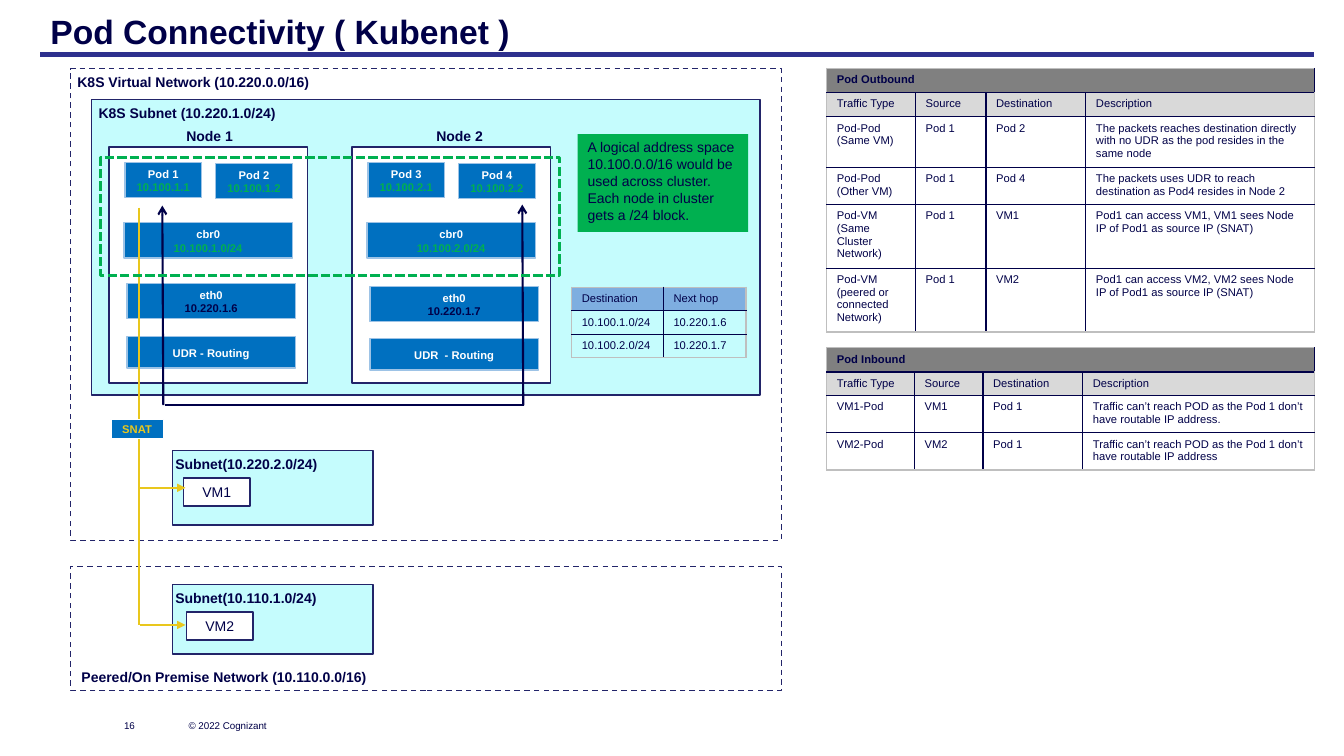
from dataclasses import dataclass

from pptx import Presentation
from pptx.dml.color import RGBColor
from pptx.enum.dml import MSO_LINE
from pptx.enum.shapes import MSO_CONNECTOR, MSO_SHAPE
from pptx.enum.text import MSO_ANCHOR, PP_ALIGN
from pptx.oxml.ns import qn
from pptx.util import Inches, Pt
from lxml.etree import SubElement


@dataclass(frozen=True)
class Theme:
    font: str = "Arial"
    ink: str = "000048"
    edge: str = "222469"
    rule: str = "2E308E"
    cyan: str = "C5FCFD"
    blue: str = "0070C0"
    rim: str = "9DC3E6"
    white: str = "FFFFFF"
    green: str = "00B050"
    gold: str = "E9C71D"
    sky: str = "7EAEE0"
    band: str = "808080"
    pale: str = "D9D9D9"
    frame: str = "BFBFBF"
    title: int = 24
    label: int = 10
    small: int = 8
    foot: int = 7


T = Theme()


def color(code):
    return RGBColor.from_string(code)


def write(frame, lines, size, bold=False, align=PP_ALIGN.LEFT):
    for i, (text, tint) in enumerate(lines):
        para = frame.paragraphs[0] if i == 0 else frame.add_paragraph()
        para.alignment = align
        run = para.add_run()
        run.text = text
        run.font.name = T.font
        run.font.size = Pt(size)
        run.font.bold = bold
        run.font.color.rgb = color(tint)


def label(slide, at, text, size=T.label, bold=True, inset=True,
          wrap=True, anchor=MSO_ANCHOR.TOP):
    frame = slide.shapes.add_textbox(*map(Inches, at)).text_frame
    frame.word_wrap = wrap
    frame.vertical_anchor = anchor
    if not inset:
        frame.margin_left = frame.margin_right = 0
        frame.margin_top = frame.margin_bottom = 0
    write(frame, [(text, T.ink)], size, bold)


def box(slide, at, fill=None, line=T.edge, width=1, dash=None):
    shape = slide.shapes.add_shape(MSO_SHAPE.RECTANGLE, *map(Inches, at))
    shape.shadow.inherit = False
    if fill:
        shape.fill.solid()
        shape.fill.fore_color.rgb = color(fill)
    else:
        shape.fill.background()
    if line:
        shape.line.color.rgb = color(line)
        shape.line.width = Pt(width)
        if dash:
            shape.line.dash_style = dash
    else:
        shape.line.fill.background()
    return shape


def fill_text(shape, lines, size, bold=False, align=PP_ALIGN.CENTER,
              anchor=MSO_ANCHOR.TOP, pad=0.05):
    frame = shape.text_frame
    frame.word_wrap = True
    frame.vertical_anchor = anchor
    frame.margin_top = frame.margin_bottom = Inches(pad)
    write(frame, lines, size, bold, align)


def chip(slide, at, name, addr=None, tint=T.green):
    lines = [(name, T.white)] + ([(addr, tint)] if addr else [])
    fill_text(box(slide, at, T.blue, T.rim), lines, T.small, True,
              pad=0.05 if addr else 0.1)


def line(slide, start, end, tint, width=1.5, head=None, tail=None):
    link = slide.shapes.add_connector(
        MSO_CONNECTOR.STRAIGHT, *map(Inches, start + end))
    link.line.color.rgb = color(tint)
    link.line.width = Pt(width)
    props = link.line._get_or_add_ln()
    for tag, kind in (("a:headEnd", head), ("a:tailEnd", tail)):
        if kind:
            SubElement(props, qn(tag), type=kind)
    SubElement(link._element.spPr, qn("a:effectLst"))


def border(cell, tints):
    props = cell._tc.get_or_add_tcPr()
    for i, (side, tint) in enumerate(zip("LRTB", tints)):
        edge = SubElement(props, qn("a:ln" + side), w=str(Pt(1)))
        fill = SubElement(edge, qn("a:solidFill"))
        SubElement(fill, qn("a:srgbClr"), val=tint)
        props.insert(i, edge)


def grid(slide, left, top, cols, rows, cells, fills):
    table = slide.shapes.add_table(
        len(rows), len(cols), Inches(left), Inches(top),
        Inches(sum(cols)), Inches(sum(rows))).table
    table.first_row = table.horz_banding = False
    for col, width in zip(table.columns, cols):
        col.width = Inches(width)
    for row, height in zip(table.rows, rows):
        row.height = Inches(height)
    for r, texts in enumerate(cells):
        banner = len(texts) == 1
        for c in range(len(cols)):
            cell = table.cell(r, c)
            if r < len(fills):
                cell.fill.solid()
                cell.fill.fore_color.rgb = color(fills[r])
            else:
                cell.fill.background()
            outer = (c == 0, c == len(cols) - 1, r == 0, r == len(rows) - 1)
            border(cell, [T.frame if out else T.ink for out in outer])
            if c < len(texts):
                lines = [(t, T.ink) for t in texts[c].split("\n")]
                write(cell.text_frame, lines, T.small, banner)
        if banner:
            table.cell(r, 0).merge(table.cell(r, len(cols) - 1))


def node(slide, left, name, shift, pods, block, addr, drop, route):
    box(slide, (left, 1.46, 1.97, 2.34), T.white)
    label(slide, (left + shift, 1.22, 1.7, 0.27), name)
    for i, (pod, host) in enumerate(pods):
        chip(slide, (left + 0.16 + 0.9 * i, 1.61 + 0.01 * i, 0.76, 0.35),
             pod, host)
    chip(slide, (left + 0.15, 2.21, 1.67, 0.35), "cbr0", block)
    chip(slide, (left + 0.18, 2.81 + drop, 1.67, 0.35), "eth0", addr, T.ink)
    chip(slide, (left + 0.18, 3.34 + drop * 0.67, 1.67, 0.31), route)


def subnet(slide, top, height, name, vm, left, inset):
    box(slide, (1.71, top, 1.99, height), T.cyan)
    label(slide, (1.64, top, 1.7, 0.27), name)
    host = box(slide, (left, top + inset, 0.66, 0.28), T.white)
    fill_text(host, [(vm, T.ink)], T.label, anchor=MSO_ANCHOR.MIDDLE)


def network(slide):
    box(slide, (0.91, 0.99, 6.63, 2.93), T.cyan)
    for top, height in ((0.68, 4.68), (5.62, 1.23)):
        box(slide, (0.7, top, 7.05, height), dash=MSO_LINE.DASH)
    label(slide, (0.67, 0.68, 3.03, 0.27), "K8S Virtual Network (10.220.0.0/16)")
    label(slide, (0.88, 0.99, 2.17, 0.27), "K8S Subnet (10.220.1.0/24)")
    label(slide, (0.71, 6.58, 3.42, 0.27),
          "Peered/On Premise Network (10.110.0.0/16)")
    node(slide, 1.08, "Node 1", 0.67,
         [("Pod 1", "10.100.1.1"), ("Pod 2", "10.100.1.2")],
         "10.100.1.0/24", "10.220.1.6", 0, "UDR - Routing")
    node(slide, 3.49, "Node 2", 0.74,
         [("Pod 3", "10.100.2.1"), ("Pod 4", "10.100.2.2")],
         "10.100.2.0/24", "10.220.1.7", 0.03, "UDR  - Routing")
    subnet(slide, 4.47, 0.74, "Subnet(10.220.2.0/24)", "VM1", 1.82, 0.27)
    subnet(slide, 5.8, 0.69, "Subnet(10.110.1.0/24)", "VM2", 1.85, 0.27)


def traffic(slide):
    line(slide, (1.61, 2.04), (1.62, 4.02), T.ink, head="arrow")
    line(slide, (5.2, 4.02), (1.64, 4.02), T.ink)
    line(slide, (5.18, 2.03), (5.19, 4.02), T.ink, head="arrow")
    line(slide, (1.38, 2.06), (1.38, 6.2), T.gold)
    for y in (4.84, 6.2):
        line(slide, (1.39, y), (1.84, y), T.gold, tail="triangle")
    box(slide, (1, 1.56, 4.55, 1.17), None, T.green, 2.25,
        MSO_LINE.SQUARE_DOT)
    fill_text(box(slide, (5.73, 1.33, 1.69, 0.97), T.green, None), [(
        "A logical address space 10.100.0.0/16 would be used across cluster. "
        "Each node in cluster gets a /24 block.", T.ink)],
        T.label, align=PP_ALIGN.LEFT)
    fill_text(box(slide, (1.1, 4.16, 0.52, 0.19), T.blue, T.white),
              [("SNAT", T.gold)], T.small, True,
              anchor=MSO_ANCHOR.MIDDLE, pad=0.1)


def tables(slide):
    grid(slide, 5.67, 2.85, (0.91, 0.82), (0.23,) * 3, [
        ("Destination", "Next hop"),
        ("10.100.1.0/24", "10.220.1.6"),
        ("10.100.2.0/24", "10.220.1.7")], [T.sky])
    heads = ("Traffic Type", "Source", "Destination", "Description")
    fills = [T.band, T.pale]
    grid(slide, 8.2, 0.68, (0.88, 0.7, 0.99, 2.27),
         (0.24, 0.24, 0.5, 0.37, 0.63, 0.63), [
        ("Pod Outbound",), heads,
        ("Pod-Pod\n(Same VM)", "Pod 1", "Pod 2",
         "The packets reaches destination directly with no UDR as the pod "
         "resides in the same node"),
        ("Pod-Pod (Other VM)", "Pod 1", "Pod 4",
         "The packets uses UDR to reach destination as Pod4 resides in Node 2"),
        ("Pod-VM (Same Cluster Network)", "Pod 1", "VM1",
         "Pod1 can access VM1, VM1 sees Node IP of Pod1 as source IP (SNAT)"),
        ("Pod-VM (peered or connected Network)", "Pod 1", "VM2",
         "Pod1 can access VM2, VM2 sees Node IP of Pod1 as source IP (SNAT)"),
    ], fills)
    block = "Traffic can’t reach POD as the Pod 1 don’t have routable IP address"
    grid(slide, 8.2, 3.45, (0.87, 0.68, 0.99, 2.3), (0.24, 0.23, 0.37, 0.37), [
        ("Pod Inbound",), heads,
        ("VM1-Pod", "VM1", "Pod 1", block + "."),
        ("VM2-Pod", "VM2", "Pod 1", block)], fills)


def main():
    deck = Presentation()
    deck.slide_width, deck.slide_height = Inches(13.33), Inches(7.5)
    slide = deck.slides.add_slide(deck.slide_layouts[6])
    label(slide, (0.5, 0.11, 11.82, 0.34), "Pod Connectivity ( Kubenet )",
          T.title, inset=False)
    line(slide, (0.4, 0.54), (13.03, 0.54), T.rule, 3)
    network(slide)
    traffic(slide)
    tables(slide)
    for left, width, text in ((1.23, 0.39, "16"),
                              (1.87, 1.31, "© 2022 Cognizant")):
        label(slide, (left, 7.05, width, 0.21), text, T.foot, False,
              inset=False, wrap=False, anchor=MSO_ANCHOR.BOTTOM)
    deck.save("out.pptx")


if __name__ == "__main__":
    main()
